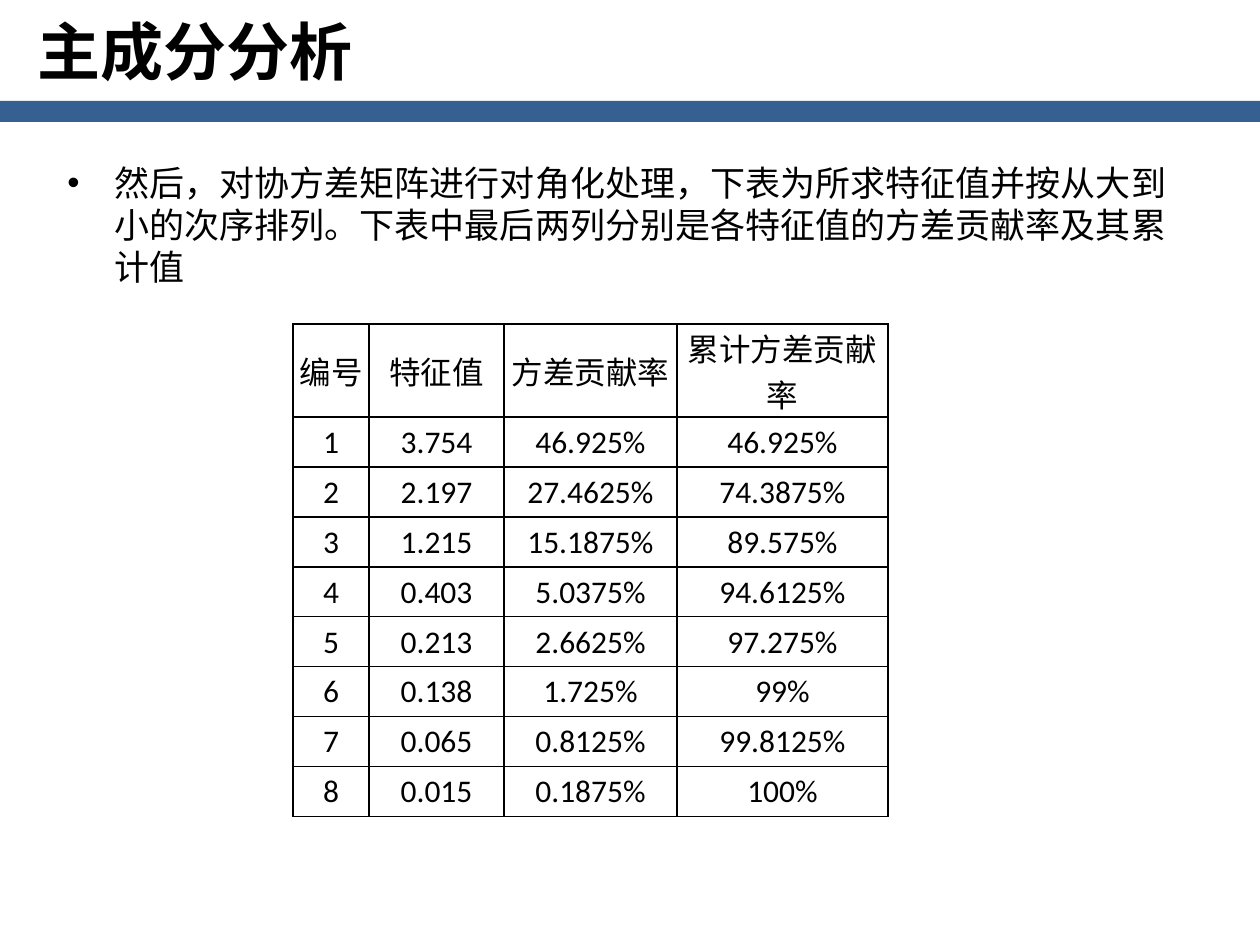
from lxml.etree import SubElement
from pptx import Presentation
from pptx.dml.color import RGBColor
from pptx.enum.shapes import MSO_SHAPE as Shape
from pptx.enum.text import MSO_ANCHOR as Anchor, PP_ALIGN as Align
from pptx.oxml.ns import qn
from pptx.util import Emu, Pt

# Content
TITLE = "主成分分析"
BODY = ("然后，对协方差矩阵进行对角化处理，下表为所求特征值并按从大到小的次序排列。"
        "下表中最后两列分别是各特征值的方差贡献率及其累计值")
ROWS = [
    ("编号", "特征值", "方差贡献率", "累计方差贡献率"),
    ("1", "3.754", "46.925%", "46.925%"),
    ("2", "2.197", "27.4625%", "74.3875%"),
    ("3", "1.215", "15.1875%", "89.575%"),
    ("4", "0.403", "5.0375%", "94.6125%"),
    ("5", "0.213", "2.6625%", "97.275%"),
    ("6", "0.138", "1.725%", "99%"),
    ("7", "0.065", "0.8125%", "99.8125%"),
    ("8", "0.015", "0.1875%", "100%"),
]

# Layout in px
SLIDE = (1260, 945)
BAND = (0, 101, 1260, 21)
TITLE_BOX = (25, 6, 1071, 69)
BODY_BOX = (55, 155, 1150, 725)
TABLE_AT = (293, 324)
COLUMNS = (76, 135, 173, 211)
HEIGHTS = [93] + [50] * (len(ROWS) - 1)
BULLET_INDENT = 47

THEME = {
    "ink": RGBColor(0, 0, 0),
    "band": RGBColor(0x37, 0x60, 0x92),
    "east_asian": "Noto Sans CJK SC",
    "title": {"name": "Noto Sans CJK SC", "size": Pt(36), "bold": True},
    "body": {"name": "Arial", "size": Pt(20)},
    "table": {"name": "Calibri", "size": Pt(18)},
}


def px(length):
    return Emu(length * 914400 // 126)


def apply(target, values):
    for name, value in values.items():
        setattr(target, name, value)


def write(para, text, style):
    span = para.add_run()
    span.text = text
    apply(span.font, THEME[style])
    span.font.color.rgb = THEME["ink"]
    SubElement(span.font._element, qn("a:ea"), typeface=THEME["east_asian"])


def add_text(page, place):
    frame = page.shapes.add_textbox(*map(px, place)).text_frame
    apply(frame, {"word_wrap": True, "vertical_anchor": Anchor.TOP})
    return frame.paragraphs[0]


def add_bullet(para):
    props = para._p.get_or_add_pPr()
    props.set("marL", str(px(BULLET_INDENT)))
    props.set("indent", str(-px(BULLET_INDENT)))
    SubElement(props, qn("a:buFont"), typeface="Arial")
    SubElement(props, qn("a:buChar"), char="•")


def format_cell(cell):
    apply(cell, {"vertical_anchor": Anchor.MIDDLE, "margin_left": px(1),
                 "margin_right": px(1), "margin_top": px(1), "margin_bottom": 0})
    props = cell._tc.get_or_add_tcPr()
    for side in ("a:lnL", "a:lnR", "a:lnT", "a:lnB"):
        line = SubElement(props, qn(side), w=str(Pt(1)))
        fill = SubElement(line, qn("a:solidFill"))
        SubElement(fill, qn("a:srgbClr"), val=str(THEME["ink"]))
    cell.fill.background()


deck = Presentation()
deck.slide_width, deck.slide_height = map(px, SLIDE)
page = deck.slides.add_slide(deck.slide_layouts[6])

# Band under the title
band = page.shapes.add_shape(Shape.RECTANGLE, *map(px, BAND))
band.shadow.inherit = False
band.fill.solid()
band.fill.fore_color.rgb = THEME["band"]
band.line.fill.background()

# Title and bullet
write(add_text(page, TITLE_BOX), TITLE, "title")
bullet = add_text(page, BODY_BOX)
add_bullet(bullet)
write(bullet, BODY, "body")

# Eigenvalue table
size = (sum(COLUMNS), sum(HEIGHTS))
table = page.shapes.add_table(len(ROWS), len(COLUMNS),
                              *map(px, TABLE_AT + size)).table
apply(table, {"first_row": False, "horz_banding": False})
for column, width in zip(table.columns, COLUMNS):
    column.width = px(width)
for row, height, values in zip(table.rows, HEIGHTS, ROWS):
    row.height = px(height)
    for cell, value in zip(row.cells, values):
        format_cell(cell)
        para = cell.text_frame.paragraphs[0]
        para.alignment = Align.CENTER
        write(para, value, "table")

deck.save("out.pptx")
